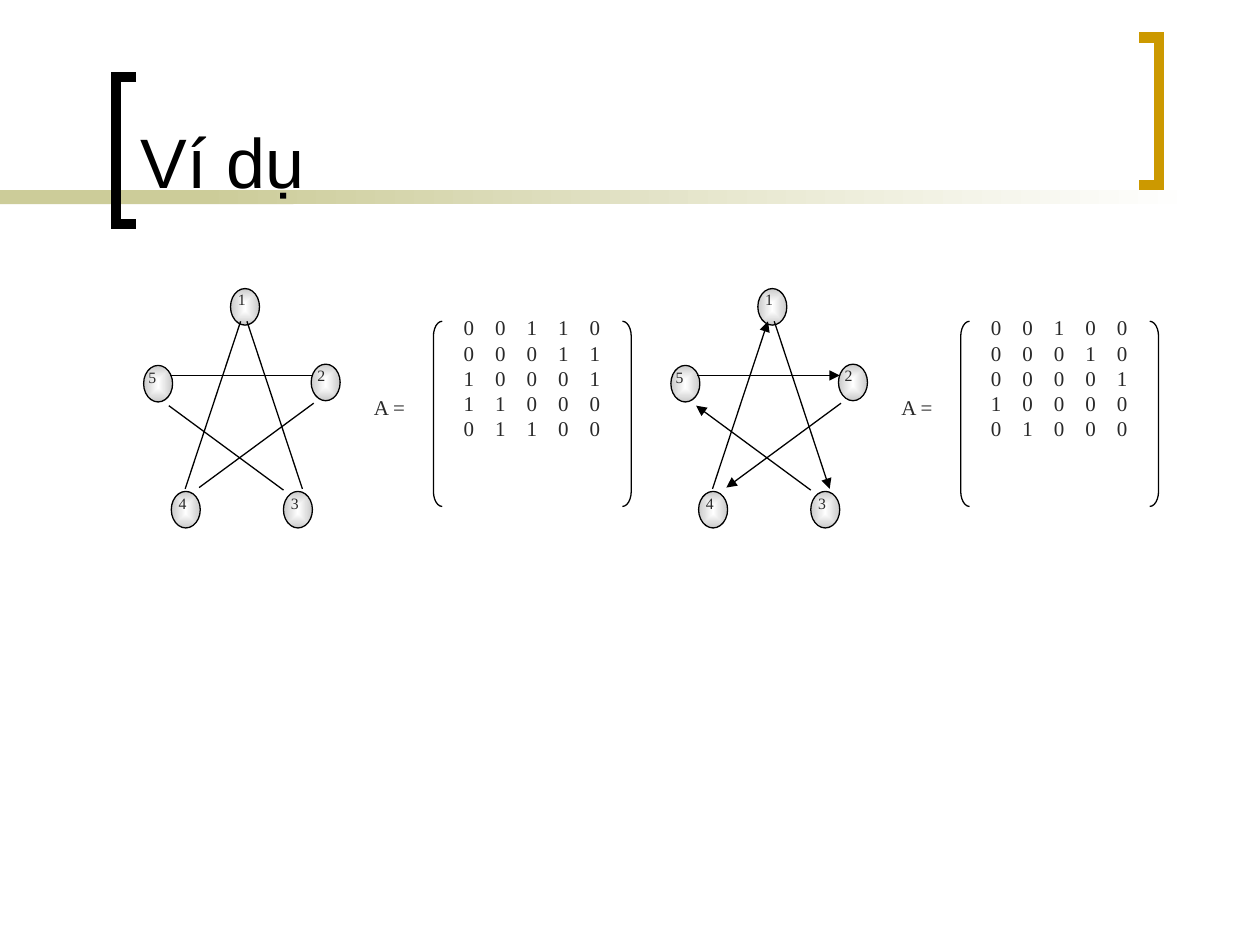
from dataclasses import dataclass
from typing import NamedTuple

from lxml import etree
from pptx import Presentation
from pptx.dml.color import RGBColor
from pptx.enum.shapes import MSO_CONNECTOR, MSO_SHAPE
from pptx.enum.text import MSO_ANCHOR
from pptx.oxml.ns import qn
from pptx.util import Inches, Pt

RECTANGLE = MSO_SHAPE.RECTANGLE
OVAL = MSO_SHAPE.OVAL
LEFT_BRACKET = MSO_SHAPE.LEFT_BRACKET
RIGHT_BRACKET = MSO_SHAPE.RIGHT_BRACKET
STRAIGHT = MSO_CONNECTOR.STRAIGHT
BOTTOM = MSO_ANCHOR.BOTTOM


@dataclass(frozen=True)
class Theme:
    black: RGBColor = RGBColor(0x00, 0x00, 0x00)
    white: RGBColor = RGBColor(0xFF, 0xFF, 0xFF)
    ink: RGBColor = RGBColor(0x29, 0x29, 0x29)
    olive: RGBColor = RGBColor(0xCC, 0xCC, 0x99)
    gold: RGBColor = RGBColor(0xCC, 0x99, 0x00)
    silver: RGBColor = RGBColor(0xCA, 0xCA, 0xCA)
    title_font: str = "Arial"
    body_font: str = "Times New Roman"
    title_size: float = 40
    matrix_size: float = 12
    node_size: float = 9
    frame_line: float = 6
    thin_line: float = 0.75


THEME = Theme()


class Node(NamedTuple):
    name: str
    left: float
    top: float
    label_left: float
    label_top: float


class Edge(NamedTuple):
    x1: float
    y1: float
    x2: float
    y2: float


@dataclass(frozen=True)
class Example:
    offset: float
    directed: bool
    rows: tuple[str, ...]


NODES = (
    Node("1", 1.83, 2.29, 1.79, 2.25),
    Node("2", 2.47, 2.89, 2.42, 2.85),
    Node("3", 2.25, 3.9, 2.21, 3.87),
    Node("4", 1.36, 3.9, 1.32, 3.87),
    Node("5", 1.14, 2.9, 1.08, 2.87),
)
EDGES = (
    Edge(1.35, 2.98, 2.48, 2.98),
    Edge(2.25, 3.89, 1.34, 3.22),
    Edge(1.47, 3.88, 1.91, 2.55),
    Edge(1.96, 2.55, 2.4, 3.88),
    Edge(2.49, 3.2, 1.58, 3.87),
)
EXAMPLES = (
    Example(0, False, ("00110", "00011", "10001", "11000", "01100")),
    Example(4.185, True, ("00100", "00010", "00001", "10000", "01000")),
)
COLUMN_PITCH = 0.25


def add_box(slide, kind, left: float, top: float, width: float, height: float):
    shape = slide.shapes.add_shape(
        kind, Inches(left), Inches(top), Inches(width), Inches(height))
    shape.shadow.inherit = False
    return shape


def set_line(shape, color: RGBColor, width: float) -> None:
    shape.line.color.rgb = color
    shape.line.width = Pt(width)


def set_gradient(shape, first: RGBColor, last: RGBColor):
    shape.fill.gradient()
    for stop, color in zip(shape.fill.gradient_stops, (first, last)):
        stop.color.rgb = color
    return shape.element.spPr.find(qn("a:gradFill"))


def add_text(slide, text: str, left: float, top: float, width: float,
             height: float, size: float, font: str = THEME.body_font,
             color: RGBColor = THEME.ink):
    box = slide.shapes.add_textbox(
        Inches(left), Inches(top), Inches(width), Inches(height))
    frame = box.text_frame
    frame.word_wrap = True
    frame.text = text
    for para in frame.paragraphs:
        for span in para.runs:
            span.font.size = Pt(size)
            span.font.name = font
            span.font.color.rgb = color
    return frame


def add_band(slide) -> None:
    solid = add_box(slide, RECTANGLE, 0, 1.51, 2.33, 0.11)
    solid.fill.solid()
    solid.fill.fore_color.rgb = THEME.olive
    solid.line.fill.background()
    fading = add_box(slide, RECTANGLE, 1.58, 1.51, 7.92, 0.11)
    set_gradient(fading, THEME.olive, THEME.white)
    fading.fill.gradient_angle = 0
    fading.line.fill.background()


def add_title_bracket(slide, open_x: float, spine_x: float, top: float,
                      color: RGBColor) -> None:
    bottom = top + 1.17
    builder = slide.shapes.build_freeform(
        Inches(open_x), Inches(top), scale=1.0)
    builder.add_line_segments(
        [(Inches(x), Inches(y)) for x, y in
         ((spine_x, top), (spine_x, bottom), (open_x, bottom))], close=False)
    bracket = builder.convert_to_shape()
    bracket.shadow.inherit = False
    bracket.fill.background()
    set_line(bracket, color, THEME.frame_line)
    etree.SubElement(bracket.line._get_or_add_ln(), qn("a:miter"), lim="800000")


def add_node(slide, node: Node, offset: float) -> None:
    oval = add_box(slide, OVAL, node.left + offset, node.top, 0.23, 0.29)
    gradient = set_gradient(oval, THEME.white, THEME.silver)
    gradient.remove(gradient.find(qn("a:lin")))
    centre = etree.SubElement(gradient, qn("a:path"), path="rect")
    etree.SubElement(centre, qn("a:fillToRect"),
                     l="50000", t="50000", r="50000", b="50000")
    set_line(oval, THEME.black, THEME.thin_line)


def add_edge(slide, edge: Edge, offset: float, directed: bool) -> None:
    line = slide.shapes.add_connector(
        STRAIGHT, Inches(edge.x1 + offset), Inches(edge.y1),
        Inches(edge.x2 + offset), Inches(edge.y2))
    set_line(line, THEME.black, THEME.thin_line)
    if directed:
        etree.SubElement(line.line._get_or_add_ln(), qn("a:tailEnd"),
                         type="triangle")
    etree.SubElement(line.element.spPr, qn("a:effectLst"))


def add_matrix(slide, rows: tuple[str, ...], offset: float) -> None:
    """Draw the digits on tab stops between two brackets, after "A ="."""
    text = "\n".join("\t".join(row) for row in rows)
    frame = add_text(slide, text, 3.17 + offset, 2.45, 2.1, 1.8,
                     THEME.matrix_size)
    frame.margin_left = Inches(0.51)
    for para in frame.paragraphs:
        stops = etree.Element(qn("a:tabLst"))
        for column in range(1, len(rows[0])):
            etree.SubElement(stops, qn("a:tab"), algn="l",
                             pos=str(Inches(column * COLUMN_PITCH)))
        para._p.get_or_add_pPr().append(stops)
    for kind, left in ((LEFT_BRACKET, 3.44), (RIGHT_BRACKET, 4.94)):
        bracket = add_box(slide, kind, left + offset, 2.55, 0.07, 1.47)
        bracket.adjustments[0] = 1.71
        bracket.fill.background()
        set_line(bracket, THEME.black, THEME.thin_line)
    add_text(slide, "A =", 2.87 + offset, 3.08, 0.64, 0.4, THEME.matrix_size)


def add_example(slide, example: Example) -> None:
    for node in NODES:
        add_node(slide, node, example.offset)
    for edge in EDGES:
        add_edge(slide, edge, example.offset, example.directed)
    for node in NODES:
        add_text(slide, node.name, node.label_left + example.offset,
                 node.label_top, 0.27, 0.37, THEME.node_size)
    add_matrix(slide, example.rows, example.offset)


def main() -> None:
    deck = Presentation()
    deck.slide_width, deck.slide_height = Inches(10), Inches(7.5)
    slide = deck.slides.add_slide(deck.slide_layouts[6])
    add_band(slide)
    add_title_bracket(slide, 1.08, 0.92, 0.61, THEME.black)
    add_title_bracket(slide, 9.04, 9.2, 0.3, THEME.gold)
    title = add_text(slide, "Ví dụ", 1.02, 0.11, 7.83, 1.55,
                     THEME.title_size, THEME.title_font, THEME.black)
    title.vertical_anchor = BOTTOM
    for example in EXAMPLES:
        add_example(slide, example)
    deck.save("out.pptx")


if __name__ == "__main__":
    main()
